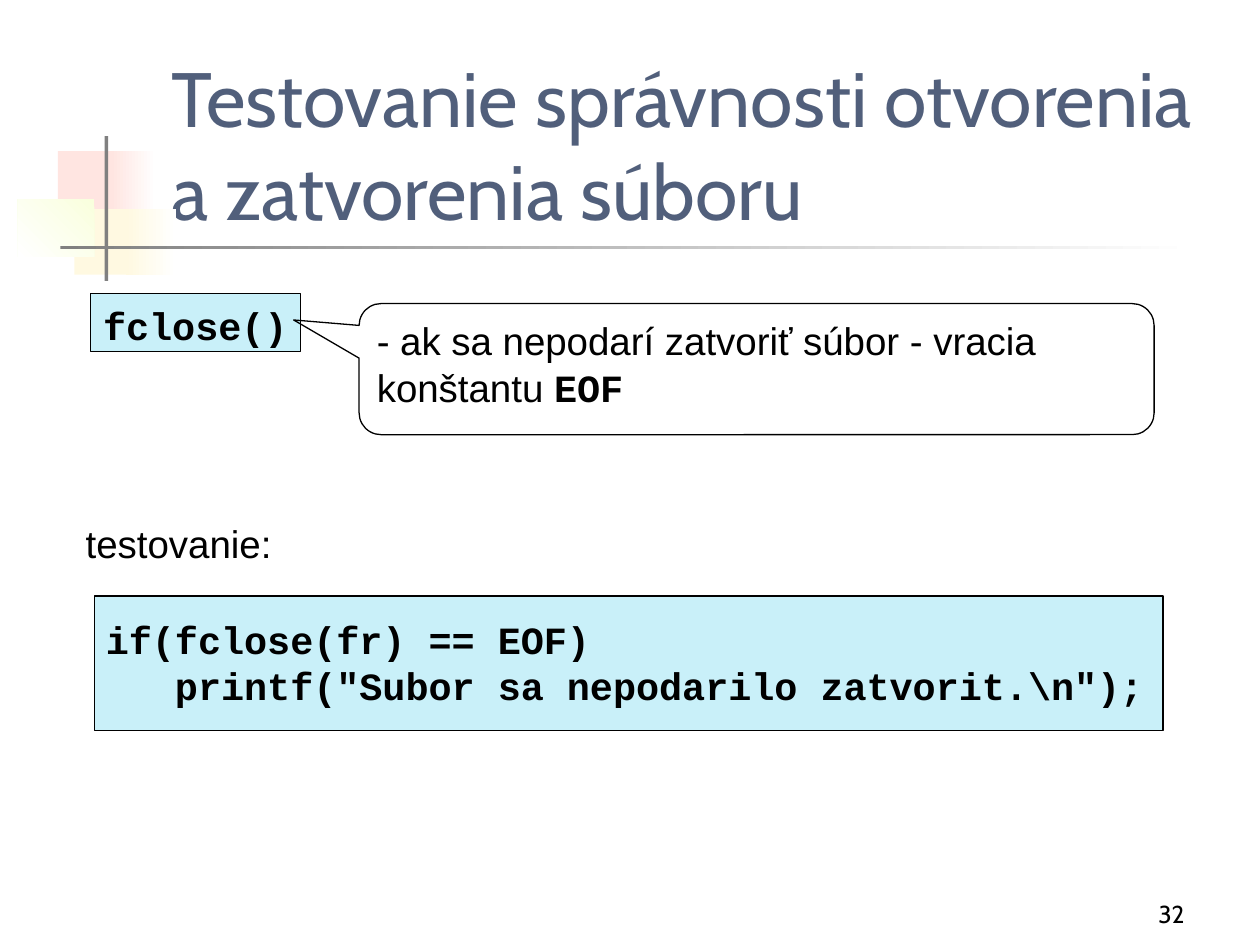
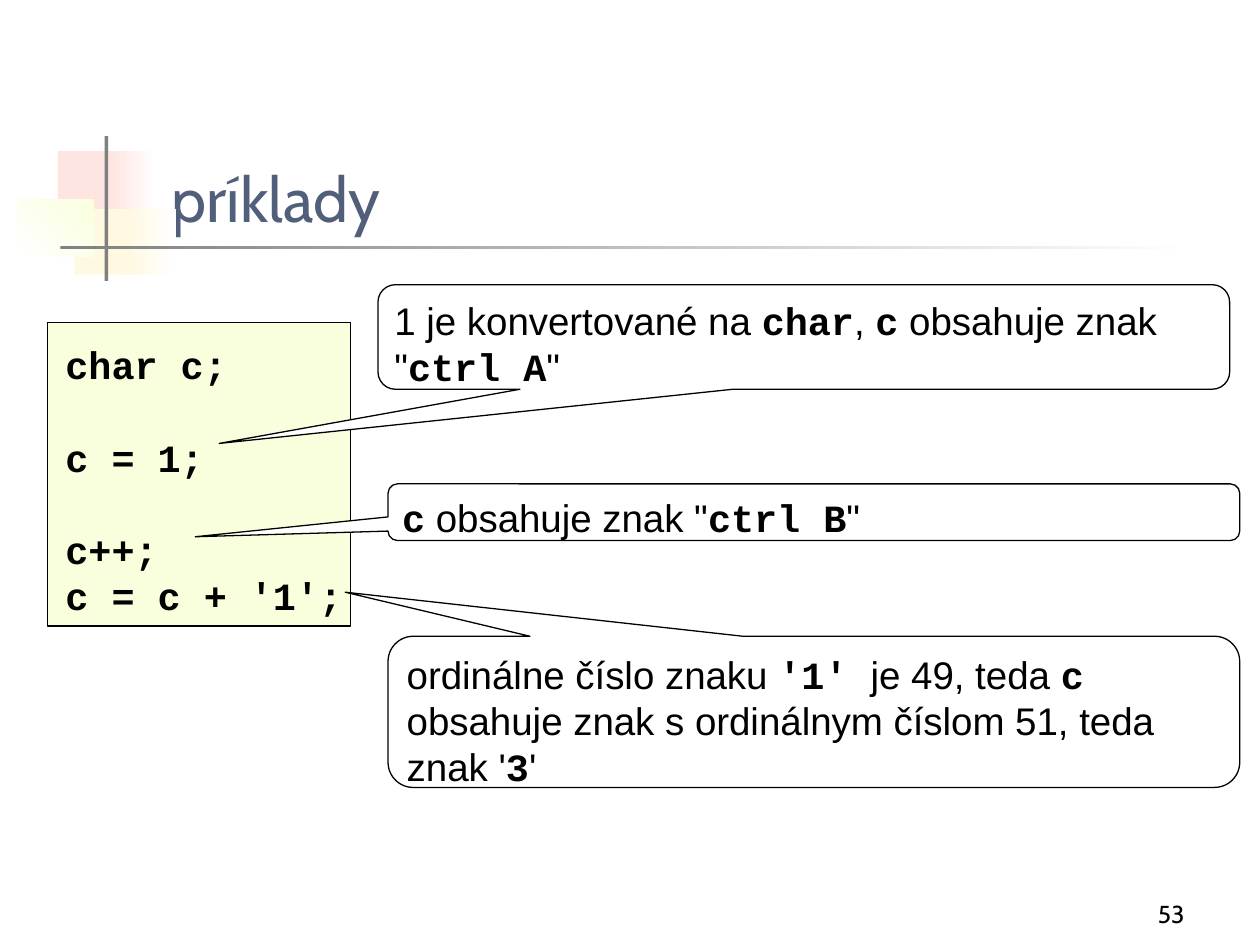
from dataclasses import dataclass

from pptx import Presentation
from pptx.dml.color import RGBColor as Color
from pptx.enum.shapes import MSO_SHAPE as Preset
from pptx.enum.text import MSO_ANCHOR as Anchor, MSO_AUTO_SIZE as AutoSize, PP_ALIGN as Align
from pptx.util import Pt

PX = 9144


@dataclass(frozen=True)
class Theme:
    title_font: str = "Cabin"
    body_font: str = "Arial"
    code_font: str = "Courier New"
    title_color: str = "515F7B"
    ink: str = "000000"
    paper: str = "FFFFFF"
    rule: str = "808080"
    pink: str = "FFE5E1"
    cream: str = "FFF9E1"
    lime: str = "F9FFDD"
    sky: str = "C9F0F9"
    title_size: int = 44
    short_title_size: int = 36
    body_size: int = 22
    number_size: int = 14
    body_leading: float = 26.4


class Deck:
    def __init__(self, theme):
        self.theme = theme
        self.presentation = Presentation()
        self.presentation.slide_width = 1000 * PX
        self.presentation.slide_height = 750 * PX
        self.slide = None

    def new_slide(self, title, size, number):
        layout = self.presentation.slide_layouts[5]
        self.slide = self.presentation.slides.add_slide(layout)
        self.title(title, size)
        self.ornament()
        self.number(number)

    def title(self, text, size):
        shape = self.slide.shapes.title
        shape.left, shape.top, shape.width, shape.height = (
            value * PX for value in (126, 67, 852, 125))
        frame = self.frame(shape, (10, 5, 10, 5), Anchor.BOTTOM)
        frame.paragraphs[0].alignment = Align.LEFT
        self.run(frame.paragraphs[0], text, self.theme.title_font, size,
                 self.theme.title_color)

    def ornament(self):
        theme = self.theme
        self.block((46, 120, 48, 52), theme.pink)
        self.block((88, 120, 36, 52), theme.pink, fade=0)
        self.block((59, 166, 46, 52), theme.cream)
        self.block((100, 166, 40, 52), theme.cream, fade=0)
        self.block((14, 158, 61, 46), theme.lime, fade=225)
        self.block((83, 108, 3, 115), theme.rule)
        self.block((48, 195, 900, 3), theme.rule, fade=0)

    def number(self, text):
        shape = self.text_box((742, 692, 208, 50))
        frame = self.frame(shape, (10, 5, 10, 5), Anchor.BOTTOM)
        frame.paragraphs[0].alignment = Align.RIGHT
        self.run(frame.paragraphs[0], text, self.theme.title_font,
                 self.theme.number_size, self.theme.ink)

    def text_box(self, box):
        return self.slide.shapes.add_textbox(*(value * PX for value in box))

    def block(self, box, color=None, fade=None, line=None, preset=Preset.RECTANGLE):
        shape = self.slide.shapes.add_shape(preset, *(value * PX for value in box))
        shape.shadow.inherit = False
        if color is None:
            shape.fill.background()
        elif fade is None:
            shape.fill.solid()
            shape.fill.fore_color.rgb = Color.from_string(color)
        else:
            shape.fill.gradient()
            shape.fill.gradient_angle = fade
            for stop, stop_color in zip(shape.fill.gradient_stops,
                                        (color, self.theme.paper)):
                stop.color.rgb = Color.from_string(stop_color)
        if line is None:
            shape.line.fill.background()
        else:
            shape.line.color.rgb = Color.from_string(self.theme.ink)
            shape.line.width = Pt(line)
        return shape

    def frame(self, shape, insets, anchor=Anchor.TOP):
        frame = shape.text_frame
        frame.word_wrap = True
        frame.auto_size = AutoSize.NONE
        frame.vertical_anchor = anchor
        (frame.margin_left, frame.margin_top,
         frame.margin_right, frame.margin_bottom) = (value * PX for value in insets)
        return frame

    def run(self, paragraph, text, font, size, color, bold=False):
        run = paragraph.add_run()
        run.text = text
        run.font.name = font
        run.font.size = Pt(size)
        run.font.bold = bold
        run.font.color.rgb = Color.from_string(color)

    def body(self, paragraph, text, code=False):
        theme = self.theme
        paragraph.alignment = Align.LEFT
        paragraph.line_spacing = Pt(theme.body_leading)
        font = theme.code_font if code else theme.body_font
        self.run(paragraph, text, font, theme.body_size, theme.ink, bold=code)

    def label(self, box, text):
        frame = self.frame(self.text_box(box), (9, 6, 0, 5))
        self.body(frame.paragraphs[0], text)

    def code_panel(self, box, color, lines, inset, gaps_before=(), line=0.75):
        shape = self.block(box, color, line=line)
        frame = self.frame(shape, (*inset, 0, 0))
        for index, text in enumerate(lines):
            paragraph = frame.add_paragraph() if index else frame.paragraphs[0]
            if index in gaps_before:
                paragraph.space_before = Pt(self.theme.body_leading)
            self.body(paragraph, text, code=True)

    def callout(self, box, tip, pieces, color=None):
        shape = self.block(box, color, line=0.75,
                           preset=Preset.ROUNDED_RECTANGULAR_CALLOUT)
        left, top, width, height = box
        shape.adjustments[0] = (tip[0] - left) / width - 0.5
        shape.adjustments[1] = (tip[1] - top) / height - 0.5
        frame = self.frame(shape, (9, 6, 9, 5))
        for text, code in pieces:
            self.body(frame.paragraphs[0], text, code)


def closing_slide(deck):
    theme = deck.theme
    deck.new_slide("Testovanie správnosti otvorenia a zatvorenia súboru",
                   theme.title_size, "32")
    deck.code_panel((72, 233, 166, 46), theme.sky, ["fclose()"], (10, 7), line=0.25)
    deck.callout((285, 241, 631, 104), (233, 254), [
        ("- ak sa nepodarí zatvoriť súbor - vracia konštantu ", False),
        ("EOF", True)])
    deck.label((59, 407, 175, 46), "testovanie:")
    deck.code_panel((75, 473, 848, 107), theme.sky, [
        "if(fclose(fr) == EOF)",
        '   printf("Subor sa nepodarilo zatvorit.\\n");'], (9, 16))


def examples_slide(deck):
    theme = deck.theme
    deck.new_slide("príklady", theme.short_title_size, "53")
    deck.code_panel((38, 256, 240, 241), theme.lime,
                    ["char c;", "c = 1;", "c++;", "c = c + '1';"],
                    (14, 15), gaps_before=(1, 2))
    deck.callout((300, 226, 676, 83), (174, 352), [
        ("1 je konvertované na ", False), ("char", True), (", ", False),
        ("c", True), (' obsahuje znak "', False), ("ctrl A", True),
        ('"', False)], theme.paper)
    deck.callout((308, 384, 676, 45), (155, 426), [
        ("c", True), (' obsahuje znak "', False), ("ctrl B", True),
        ('"', False)], theme.paper)
    deck.callout((308, 505, 676, 120), (274, 470), [
        ("ordinálne číslo znaku ", False), ("'1' ", True),
        ("je 49, teda ", False), ("c", True),
        (" obsahuje znak s ordinálnym číslom 51, teda znak '", False),
        ("3", True), ("'", False)], theme.paper)


def main():
    deck = Deck(Theme())
    closing_slide(deck)
    examples_slide(deck)
    deck.presentation.save("out.pptx")


if __name__ == "__main__":
    main()
